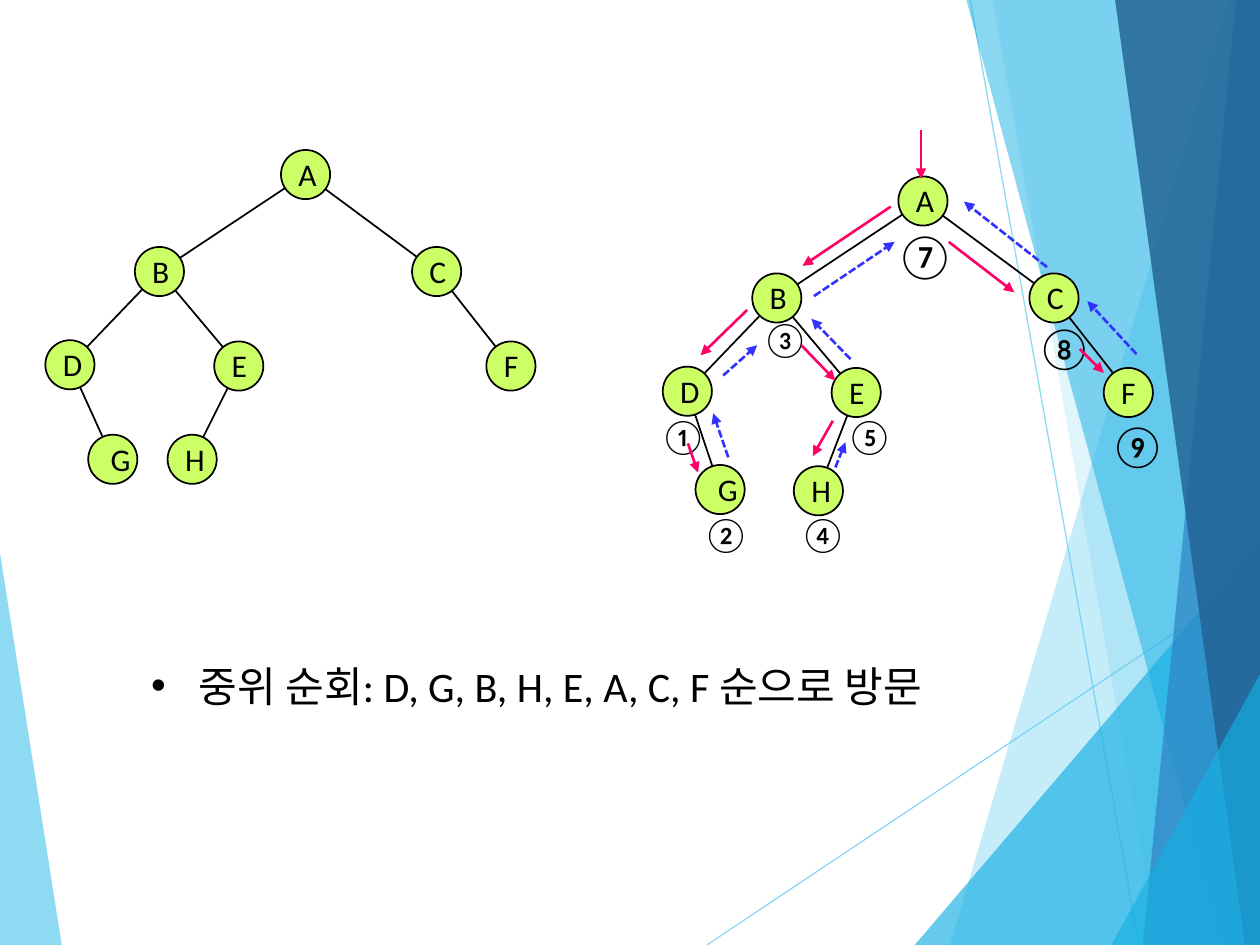
from lxml import etree
from pptx import Presentation
from pptx.dml.color import RGBColor
from pptx.enum.dml import MSO_LINE
from pptx.enum.shapes import MSO_CONNECTOR, MSO_SHAPE
from pptx.enum.text import MSO_ANCHOR, MSO_AUTO_SIZE, PP_ALIGN
from pptx.oxml.ns import qn
from pptx.util import Inches, Pt

STRAIGHT, OVAL = MSO_CONNECTOR.STRAIGHT, MSO_SHAPE.OVAL
MIDDLE, CENTER, LEFT = MSO_ANCHOR.MIDDLE, PP_ALIGN.CENTER, PP_ALIGN.LEFT
FIT, DASH = MSO_AUTO_SIZE.SHAPE_TO_FIT_TEXT, MSO_LINE.SQUARE_DOT

BLACK = RGBColor(0x00, 0x00, 0x00)
LIME = RGBColor(0xCC, 0xFF, 0x66)
PINK = RGBColor(0xFF, 0x00, 0x66)
BLUE = RGBColor(0x33, 0x33, 0xFF)
SKY = RGBColor(0x5F, 0xCB, 0xEF)
CYAN = RGBColor(0x17, 0xB0, 0xE4)
STEEL = RGBColor(0x2E, 0x83, 0xC3)
NAVY = RGBColor(0x22, 0x62, 0x92)

WIDE, HIGH = 10, 7.5
NODE = 0.39

# Background: colour, opacity in percent, corners
LEFT_FACET = (SKY, 70, [(0, 4.39), (0.49, HIGH), (0, HIGH)])
RAYS = [((5.61, HIGH), (WIDE, 4.57)), ((7.7, 0), (9.04, HIGH))]
FACETS = [
    (SKY, 36, [(9.75, 0), (7.54, HIGH), (WIDE, HIGH), (WIDE, 0)]),
    (SKY, 20, [(7.88, 0), (9.19, HIGH), (WIDE, HIGH), (WIDE, 0)]),
    (CYAN, 66, [(7.26, HIGH), (WIDE, 4.29), (WIDE, HIGH)]),
    (CYAN, 50, [(7.67, 0), (9.7, HIGH), (WIDE, HIGH), (WIDE, 0)]),
    (STEEL, 70, [(9.81, 0), (9.07, HIGH), (WIDE, HIGH), (WIDE, 0)]),
    (NAVY, 82, [(8.85, 0), (9.88, HIGH), (WIDE, HIGH), (WIDE, 0)]),
    (CYAN, 66, [(8.82, HIGH), (WIDE, 5.35), (WIDE, HIGH)]),
]

# Left tree: top left corner of each node; the right tree is shifted
TREE = {"A": (2.23, 1.19), "B": (1.07, 1.96), "C": (3.27, 1.96),
        "D": (0.36, 2.7), "E": (1.7, 2.71), "F": (3.86, 2.71),
        "G": (0.7, 3.45), "H": (1.33, 3.45)}
EDGES = ["DG", "EH", "BE", "CF", "BD", "AB", "AC"]
SHIFT = (4.9, 0.21)
MOVED = {"G": (5.52, 3.69), "H": (6.3, 3.7)}

# Walk: start and tip of each arrow
DOWN = [
    ((7.31, 1.03), (7.31, 1.42)), ((7.07, 1.64), (6.37, 2.11)),
    ((5.93, 2.46), (5.56, 2.82)), ((5.46, 3.52), (5.54, 3.75)),
    ((6.36, 2.74), (6.63, 3.02)), ((6.61, 3.34), (6.45, 3.62)),
    ((7.53, 1.92), (8.05, 2.32)), ((8.57, 2.77), (8.76, 2.96)),
]
BACK = [
    ((5.78, 3.63), (5.66, 3.28)), ((5.74, 2.98), (6.01, 2.74)),
    ((9.02, 2.81), (8.63, 2.39)), ((8.31, 2.12), (7.65, 1.6)),
    ((6.75, 2.85), (6.44, 2.53)), ((6.63, 3.71), (6.71, 3.51)),
    ((6.46, 2.35), (7.1, 1.92)),
]
STEPS = [
    ("①", 20, 5.14, 3.24), ("②", 20, 5.48, 4.02), ("③", 20, 5.95, 2.47),
    ("④", 20, 6.25, 4.02), ("⑤", 20, 6.62, 3.24), ("⑦", 24, 7.06, 1.78),
    ("⑧", 24, 8.13, 2.5), ("⑨", 24, 8.71, 3.28),
]
FONTS = {"⑦": "Lato"}
ORDER = "중위 순회: D, G, B, H, E, A, C, F 순으로 방문"


def fade(fill, share):
    color = fill._xPr.find(qn("a:solidFill"))[0]
    etree.SubElement(color, qn("a:alpha"), val=str(share * 1000))


def add_facet(shapes, color, share, points):
    start, *rest = [(Inches(x), Inches(y)) for x, y in points]
    pen = shapes.build_freeform(*start)
    pen.add_line_segments(rest, close=True)
    facet = pen.convert_to_shape()
    facet.shadow.inherit = False
    facet.fill.solid()
    facet.fill.fore_color.rgb = color
    fade(facet.fill, share)
    facet.line.fill.background()


def add_line(shapes, start, end, color=BLACK, width=1, dash=None, tip=False):
    link = shapes.add_connector(STRAIGHT, *map(Inches, start + end))
    link.line.color.rgb = color
    link.line.width = Pt(width)
    if dash:
        link.line.dash_style = dash
    if tip:
        etree.SubElement(link.line._get_or_add_ln(), qn("a:tailEnd"),
                         type="triangle")
    etree.SubElement(link._element.spPr, qn("a:effectLst"))
    return link


def add_text(shapes, text, box, size, face="Calibri", align=LEFT, **frame):
    label = shapes.add_textbox(*map(Inches, box)).text_frame
    for name, value in {"word_wrap": True, "auto_size": FIT, **frame}.items():
        setattr(label, name, value)
    par = label.paragraphs[0]
    par.alignment = align
    run = par.add_run()
    run.text = text
    for name, value in {"size": Pt(size), "name": face}.items():
        setattr(run.font, name, value)
    run.font.color.rgb = BLACK
    return par


def add_tree(shapes, nodes):
    mid = {key: (x + NODE / 2, y + NODE / 2) for key, (x, y) in nodes.items()}
    for top, low in EDGES:
        add_line(shapes, mid[top], mid[low])
    for x, y in nodes.values():
        node = shapes.add_shape(OVAL, *map(Inches, (x, y, NODE, NODE)))
        node.shadow.inherit = False
        node.fill.solid()
        node.fill.fore_color.rgb = LIME
        node.line.color.rgb = BLACK
        node.line.width = Pt(1)
    for key, (x, y) in nodes.items():
        gap, wide = (0.08, 0.27) if key == "G" else (0.04, 0.31)
        add_text(shapes, key, (x + gap, y - 0.01, wide, 0.4), 18,
                 align=CENTER, vertical_anchor=MIDDLE)


def main():
    deck = Presentation()
    deck.slide_width, deck.slide_height = Inches(WIDE), Inches(HIGH)
    shapes = deck.slides.add_slide(deck.slide_layouts[6]).shapes

    add_facet(shapes, *LEFT_FACET)
    for start, end in RAYS:
        ray = add_line(shapes, start, end, SKY, 0.75)
        fade(ray.line.fill, 70)
    for facet in FACETS:
        add_facet(shapes, *facet)

    add_tree(shapes, TREE)
    right = {key: (x + SHIFT[0], y + SHIFT[1]) for key, (x, y) in TREE.items()}
    add_tree(shapes, {**right, **MOVED})

    for text, size, x, y in STEPS:
        side = size / 48
        add_text(shapes, text, (x, y, side, side), size,
                 FONTS.get(text, "Calibri"), word_wrap=False)
    for arrows, color, dash in [(DOWN, PINK, None), (BACK, BLUE, DASH)]:
        for start, tip in arrows:
            add_line(shapes, start, tip, color, 1.5, dash, True)

    par = add_text(shapes, ORDER, (1.1, 5.19, 7.92, 0.5), 24)
    props = par._p.get_or_add_pPr()
    props.set("marL", str(Inches(0.38)))
    props.set("indent", str(Inches(-0.38)))
    etree.SubElement(props, qn("a:buFont"), typeface="Arial")
    etree.SubElement(props, qn("a:buChar"), char="•")
    deck.save("out.pptx")


if __name__ == "__main__":
    main()
